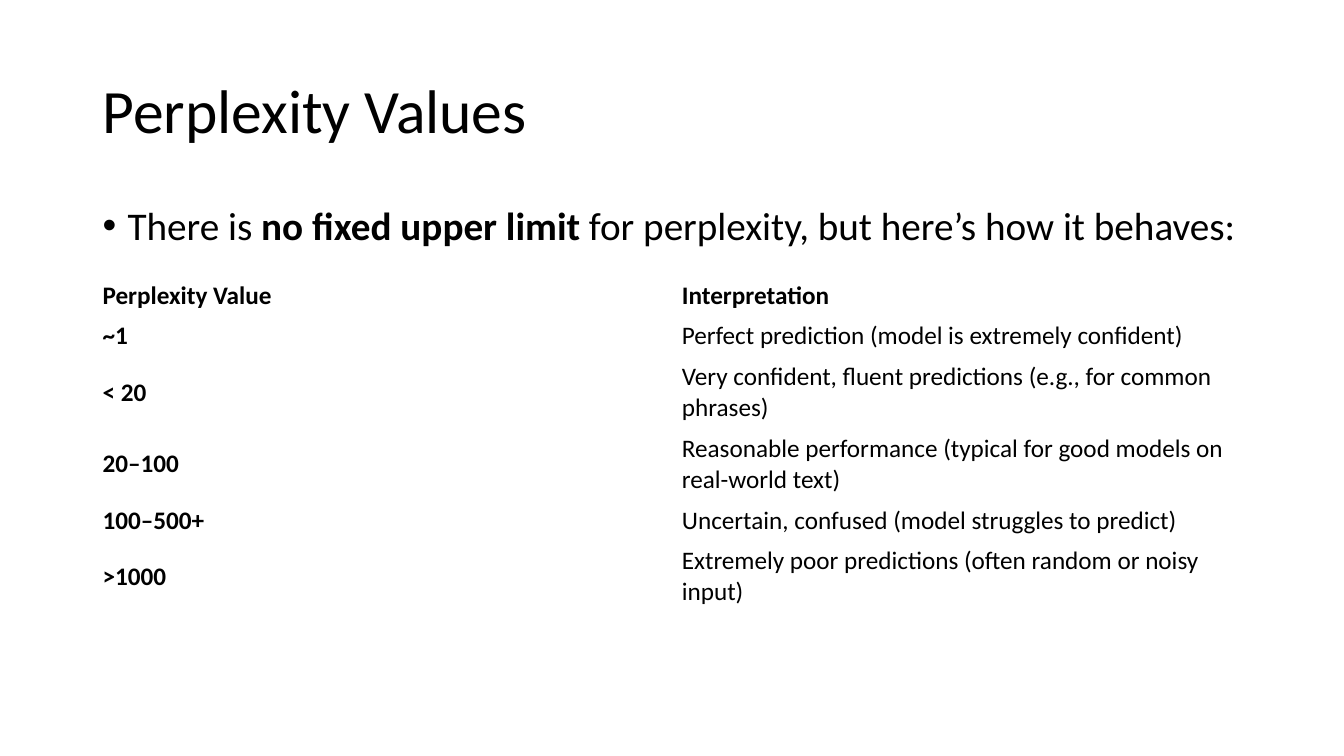
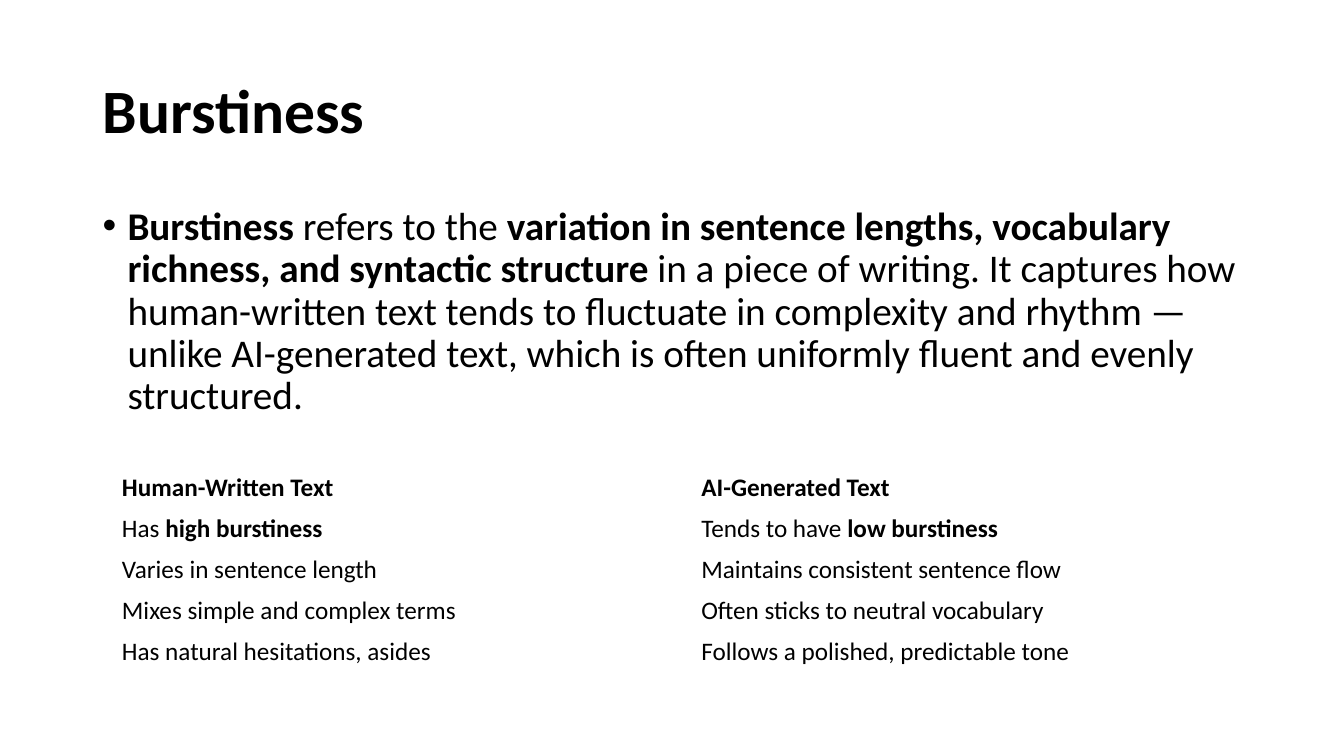
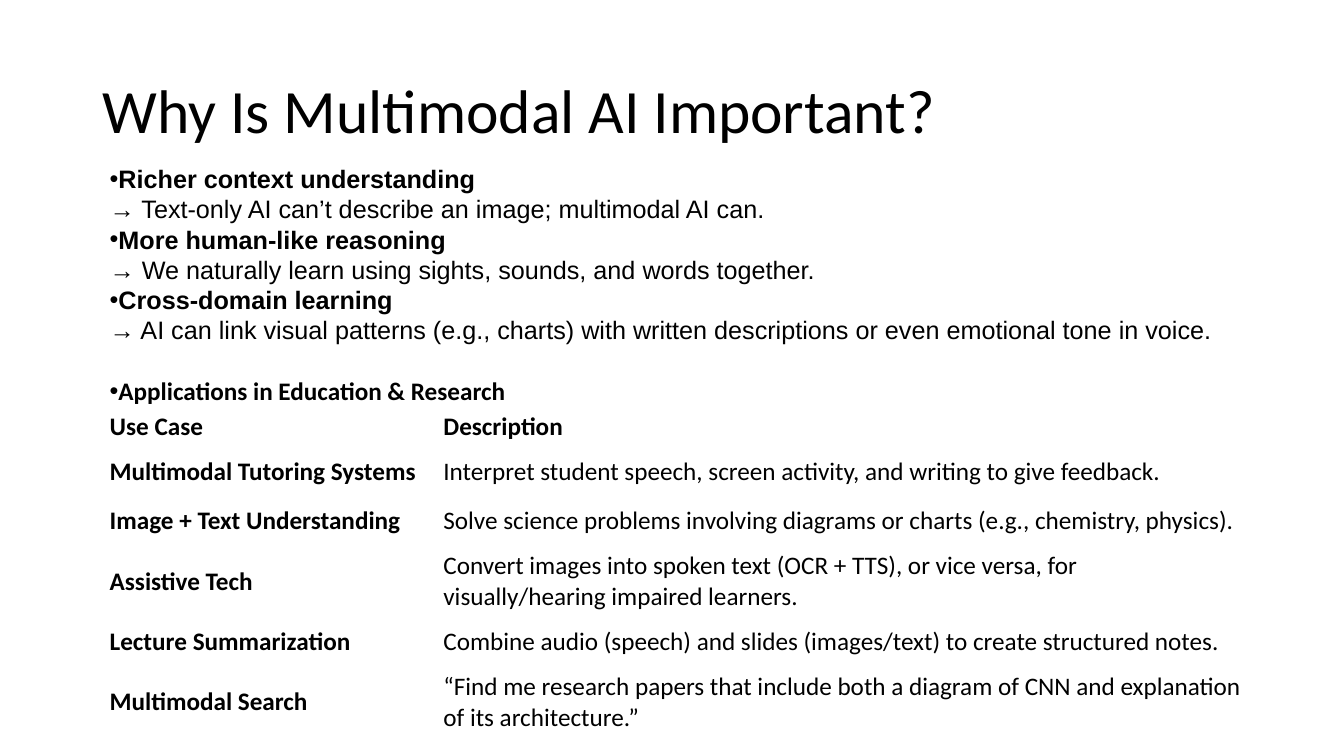
from lxml import etree
from pptx import Presentation
from pptx.dml.color import RGBColor
from pptx.enum.text import MSO_ANCHOR, MSO_AUTO_SIZE, PP_ALIGN
from pptx.oxml.ns import qn
from pptx.util import Cm, Pt

LEFT = PP_ALIGN.LEFT
TOP = MSO_ANCHOR.TOP
MIDDLE = MSO_ANCHOR.MIDDLE
NO_FIT = MSO_AUTO_SIZE.NONE

COLORS = {"text": "000000", "page": "FFFFFF"}
FONT = "Calibri"
LIST_FONT = "Arial"
TITLE_SIZE, BODY_SIZE, SMALL_SIZE = 44, 28, 18
PLAIN_TABLE_STYLE = "{2D5ABB26-0587-4C30-8999-92F81FD0307C}"
TITLE_BOX = (2.33, 1.01, 29.21, 3.68)
BODY_BOX = (2.33, 5.08, 29.21, 12.09)
REASONS_BOX = (2.51, 3.99, 28.55, 7.19)
LINE_ROW, TALL_ROW = 1.03, 1.24

PERPLEXITY_ROWS = [
    ("*Perplexity Value*", "*Interpretation*"),
    ("*~1*", "Perfect prediction (model is extremely confident)"),
    ("*< 20*", "Very confident, fluent predictions (e.g., for common phrases)"),
    ("*20–100*", "Reasonable performance (typical for good models on real-world text)"),
    ("*100–500+*", "Uncertain, confused (model struggles to predict)"),
    ("*>1000*", "Extremely poor predictions (often random or noisy input)"),
]
BURSTINESS = (
    "*Burstiness* refers to the *variation in sentence lengths, vocabulary richness, "
    "and syntactic structure* in a piece of writing. It captures how human-written text "
    "tends to fluctuate in complexity and rhythm — unlike AI-generated text, which is "
    "often uniformly fluent and evenly structured."
)
BURSTINESS_ROWS = [
    ("*Human-Written Text*", "*AI-Generated Text*"),
    ("Has *high burstiness*", "Tends to have *low burstiness*"),
    ("Varies in sentence length", "Maintains consistent sentence flow"),
    ("Mixes simple and complex terms", "Often sticks to neutral vocabulary"),
    ("Has natural hesitations, asides", "Follows a polished, predictable tone"),
]
REASONS = [
    "*Richer context understanding*\n→ Text-only AI can’t describe an image; multimodal AI can.",
    "*More human-like reasoning*\n→ We naturally learn using sights, sounds, and words together.",
    "*Cross-domain learning*\n→ AI can link visual patterns (e.g., charts) with written "
    "descriptions or even emotional tone in voice.",
]
USE_CASE_ROWS = [
    ("*Use Case*", "*Description*"),
    ("*Multimodal Tutoring Systems*",
     "Interpret student speech, screen activity, and writing to give feedback."),
    ("*Image + Text Understanding*",
     "Solve science problems involving diagrams or charts (e.g., chemistry, physics)."),
    ("*Assistive Tech*",
     "Convert images into spoken text (OCR + TTS), or vice versa, for visually/hearing "
     "impaired learners."),
    ("*Lecture Summarization*",
     "Combine audio (speech) and slides (images/text) to create structured notes."),
    ("*Multimodal Search*",
     "“Find me research papers that include both a diagram of CNN and explanation of its "
     "architecture.”"),
]


def place(shape, box):
    """Move a shape to a box given in centimetres."""
    shape.left, shape.top, shape.width, shape.height = (Cm(length) for length in box)


def add_spans(para, text, size, font=FONT):
    """Add text run by run, bold between asterisks."""
    for number, line in enumerate(text.split("\n")):
        if number:
            para.add_line_break()
            line_break = para._p.findall(qn("a:br"))[-1]
            etree.SubElement(line_break, qn("a:rPr"), sz=str(size * 100))
        for index, part in enumerate(line.split("*")):
            if part:
                span = para.add_run()
                span.text = part
                span.font.name = font
                span.font.size = Pt(size)
                span.font.bold = index % 2 == 1
                span.font.color.rgb = RGBColor.from_string(COLORS["text"])


def set_bullet(para, indent):
    """Give a paragraph a round bullet with a hanging indent."""
    properties = para._p.get_or_add_pPr()
    properties.set("marL", str(Cm(indent)))
    properties.set("indent", str(-Cm(indent)))
    etree.SubElement(properties, qn("a:buFont"), typeface="Arial")
    etree.SubElement(properties, qn("a:buChar"), char="•")


def set_frame(shape, anchor):
    """Prepare the text frame of a placeholder and return it."""
    frame = shape.text_frame
    frame.word_wrap = True
    frame.auto_size = NO_FIT
    frame.vertical_anchor = anchor
    return frame


def add_bullet(para, text, size, font=FONT, indent=0.0, before=0.0, spacing=1.0):
    """Fill a paragraph as one bulleted item."""
    para.alignment = LEFT
    para.line_spacing = spacing
    para.space_before = Pt(before)
    para.space_after = Pt(0)
    set_bullet(para, indent)
    add_spans(para, text, size, font)


def add_page(deck, title):
    """Add a page with its title and return it with its body placeholder."""
    page = deck.slides.add_slide(deck.slide_layouts[1])
    para = set_frame(page.shapes.title, MIDDLE).paragraphs[0]
    para.alignment = LEFT
    para.line_spacing = 0.9
    add_spans(para, title, TITLE_SIZE)
    return page, page.placeholders[1]


def add_statement(body, text):
    """Fill the body with one large bulleted statement."""
    para = set_frame(body, TOP).paragraphs[0]
    add_bullet(para, text, BODY_SIZE, indent=0.63, before=10, spacing=0.9)


def add_reasons(body):
    """Fill the body with the reasons and the heading of the table."""
    place(body, REASONS_BOX)
    frame = set_frame(body, TOP)
    for number, reason in enumerate(REASONS):
        para = frame.add_paragraph() if number else frame.paragraphs[0]
        add_bullet(para, reason, SMALL_SIZE, LIST_FONT)
    add_bullet(frame.add_paragraph(), "*Applications in Education & Research*",
               SMALL_SIZE, before=22)


def add_plain_table(page, left, top, widths, rows, row_height=LINE_ROW):
    """Add a table without fills or borders."""
    height = LINE_ROW + row_height * (len(rows) - 1)
    table = page.shapes.add_table(len(rows), len(widths), Cm(left), Cm(top),
                                  Cm(sum(widths)), Cm(height)).table
    table.first_row = table.horz_banding = False
    table._tbl.tblPr.find(qn("a:tableStyleId")).text = PLAIN_TABLE_STYLE
    for column, width in zip(table.columns, widths):
        column.width = Cm(width)
    for number, texts in enumerate(rows):
        table.rows[number].height = Cm(row_height if number else LINE_ROW)
        for cell, text in zip(table.rows[number].cells, texts):
            cell.fill.background()
            cell.vertical_anchor = MIDDLE
            add_spans(cell.text_frame.paragraphs[0], text, SMALL_SIZE)


def set_up_deck():
    """Create the deck with the page size and shared placeholder places."""
    deck = Presentation()
    deck.slide_width, deck.slide_height = Cm(33.87), Cm(19.05)
    fill = deck.slide_master.background.fill
    fill.solid()
    fill.fore_color.rgb = RGBColor.from_string(COLORS["page"])
    layout = deck.slide_layouts[1]
    for shape, box in zip(layout.placeholders, (TITLE_BOX, BODY_BOX)):
        place(shape, box)
    return deck


def main():
    """Build and save the deck."""
    deck = set_up_deck()
    halves = (14.6, 14.6)

    page, body = add_page(deck, "Perplexity Values")
    add_statement(body, "There is *no fixed upper limit* for perplexity, "
                        "but here’s how it behaves:")
    add_plain_table(page, 2.33, 6.93, halves, PERPLEXITY_ROWS)

    page, body = add_page(deck, "*Burstiness*")
    add_statement(body, BURSTINESS)
    add_plain_table(page, 2.82, 11.79, halves, BURSTINESS_ROWS)

    page, body = add_page(deck, "Why Is Multimodal AI Important?")
    add_reasons(body)
    add_plain_table(page, 2.51, 10.24, (8.41, 20.62), USE_CASE_ROWS, TALL_ROW)

    deck.save("out.pptx")


if __name__ == "__main__":
    main()
